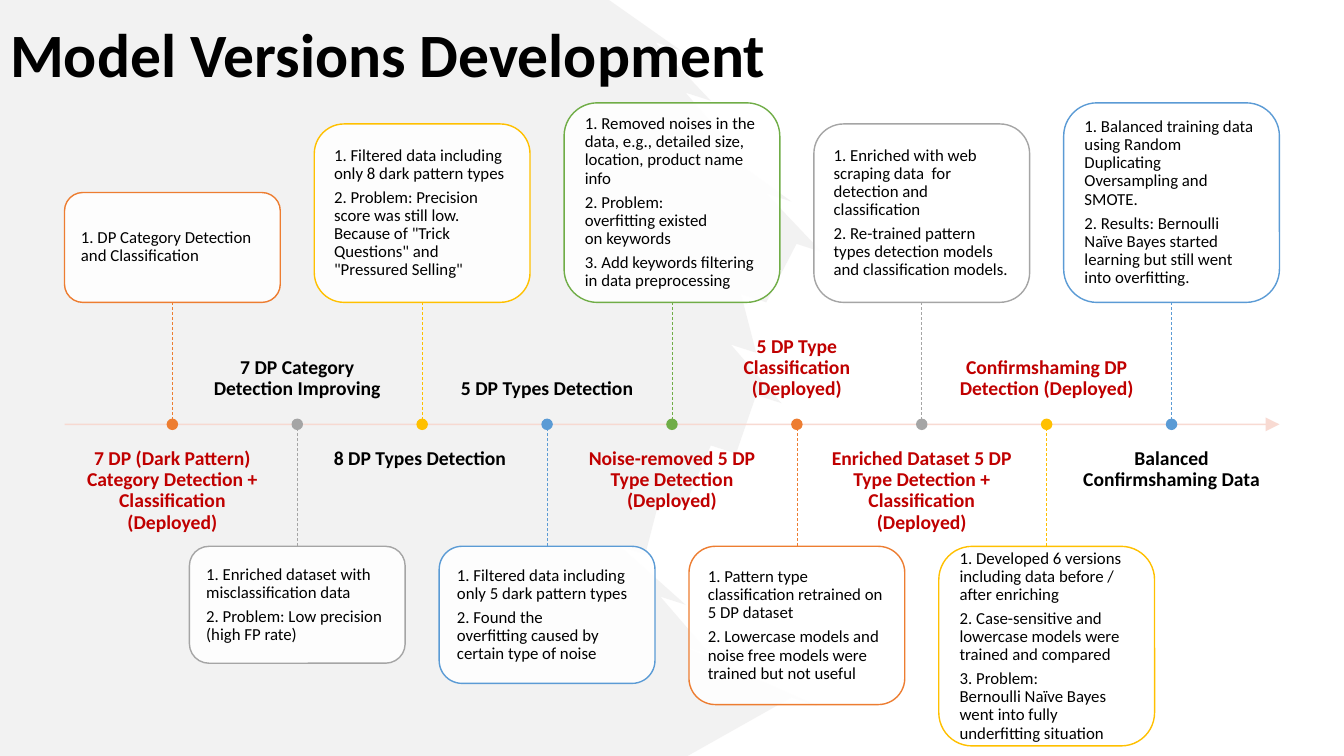
from dataclasses import dataclass

from lxml import etree
from pptx import Presentation
from pptx import util as u
from pptx.dml.color import RGBColor
from pptx.enum import dml, shapes, text
from pptx.oxml import ns


@dataclass(frozen=True)
class Theme:
    font: str = "Calibri"
    black: str = "000000"
    red: str = "C00000"
    white: str = "FFFFFF"
    brush: str = "E7E6E6"
    axis: str = "F8D7CE"
    cycle: tuple[str, ...] = ("ED7D31", "A5A5A5", "FFC000", "5B9BD5", "70AD47")
    title: int = 44
    label: int = 14
    note: int = 12


@dataclass(frozen=True)
class Stage:
    label: str
    height: float
    notes: tuple[str, ...]


THEME = Theme()

# Slide and timeline geometry in inches
WIDTH, HEIGHT = 13.33, 7.5
FIRST, LAST, AXIS = 1.71, 11.62, 4.21
CARD, GAP, DOT = 2.14, 1.21, 0.1
WIDE, TALL, CLEAR = 1.88, 0.72, 0.24

# Brush stroke: reach of each bristle, at equal steps down the slide
REACH = (6.04, 6.75, 7.05, 7.3, 7.85, 8.15, 7.6, 7.5,
         7.75, 7.3, 6.8, 6.4, 6.8, 7.05, 8.1, 6.82)
NOTCH, RISE = 0.25, 0.08

# A tilde in the wording binds two words with a no-break space
TIE, BIND = "~", chr(160)

STAGES = (
    Stage("7 DP (Dark Pattern) Category Detection + Classification (Deployed)", 1.09,
          ("1. DP Category Detection and Classification",)),
    Stage("7 DP Category Detection Improving", 1.16,
          ("1. Enriched dataset with misclassification data",
           "2. Problem: Low precision (high FP rate)")),
    Stage("8 DP Types Detection~", 1.77,
          ("1. Filtered data including only 8 dark pattern types",
           "2. Problem: Precision score was still low. Because of "
           '"Trick Questions" and "Pressured Selling"')),
    Stage("5 DP Types Detection", 1.36,
          ("1. Filtered data including only 5 dark pattern types",
           "2. Found the overfitting~caused by certain type of~noise")),
    Stage("Noise-removed 5 DP Type Detection (Deployed)", 1.98,
          ("1. Removed noises in the data, e.g., detailed size, location, product name info",
           "2. Problem: overfitting~existed on~keywords",
           "3. Add keywords filtering in data preprocessing")),
    Stage("5 DP Type Classification (Deployed)", 1.57,
          ("1. Pattern type classification retrained on 5 DP dataset",
           "2. Lowercase~models and noise free models~were trained but not useful")),
    Stage("Enriched Dataset 5 DP Type Detection + Classification (Deployed)", 1.77,
          ("1. Enriched with web scraping data ~for detection and classification",
           "2. Re-trained pattern types detection models and classification models.")),
    Stage("Confirmshaming DP Detection (Deployed)", 1.98,
          ("1. Developed~6 versions including data before / after enriching",
           "2. Case-sensitive and lowercase models were trained and compared",
           "3. Problem: Bernoulli~Naïve Bayes went into fully underfitting situation")),
    Stage("Balanced Confirmshaming Data", 1.98,
          ("1. Balanced training data using Random Duplicating Oversampling and SMOTE.",
           "2. Results: Bernoulli Naïve Bayes~started learning but still went into overfitting.")),
)


# Formatting helpers
def style(item: object, **values: object) -> None:
    for name, value in values.items():
        setattr(item, name, value)


def fade(node: object, share: int) -> None:
    """Set the opacity, in percent, of the first colour under an element."""
    color = node.find(".//" + ns.qn("a:srgbClr"))
    etree.SubElement(color, ns.qn("a:alpha")).set("val", str(share * 1000))


def paint(shape: object, fill: str, edge: str | None = None, share: int = 100) -> None:
    shape.shadow.inherit = False
    shape.fill.solid()
    shape.fill.fore_color.rgb = RGBColor.from_string(fill)
    if share < 100:
        fade(shape._element.spPr, share)
    if edge:
        shape.line.color.rgb = RGBColor.from_string(edge)
        shape.line.width = u.Pt(1)
    else:
        shape.line.fill.background()


def write(shape: object, lines: tuple[str, ...], size: int, color: str, bold: bool,
          align: object, anchor: object, inset: float, after: float = 0.35) -> None:
    frame = shape.text_frame
    pad = u.Inches(inset)
    style(frame, word_wrap=True, auto_size=text.MSO_AUTO_SIZE.NONE, vertical_anchor=anchor,
          margin_left=pad, margin_right=pad, margin_top=pad, margin_bottom=pad)
    frame.text = "\n".join(lines).replace(TIE, BIND)
    for para in frame.paragraphs:
        style(para, alignment=align, line_spacing=0.9, space_before=u.Pt(0),
              space_after=u.Pt(size * after))
        style(para.font, name=THEME.font, size=u.Pt(size), bold=bold)
        para.font.color.rgb = RGBColor.from_string(color)


def rule(slide: object, start: tuple[float, float], end: tuple[float, float],
         color: str, width: float) -> object:
    line = slide.shapes.add_connector(shapes.MSO_CONNECTOR.STRAIGHT,
                                      *map(u.Inches, start + end))
    line.line.color.rgb = RGBColor.from_string(color)
    line.line.width = u.Pt(width)
    etree.SubElement(line._element.spPr, ns.qn("a:effectLst"))
    return line


# Parts of the slide
def draw_brush(slide: object) -> None:
    step = HEIGHT / (len(REACH) - 1)
    edge = [(REACH[0], 0)]
    for rank, tip in enumerate(REACH[1:-1], start=1):
        edge += [(tip, rank * step), (tip - NOTCH, rank * step - RISE)]
    edge += [(REACH[-1], HEIGHT), (0, HEIGHT)]
    form = slide.shapes.build_freeform(0, 0)
    form.add_line_segments([(u.Inches(x), u.Inches(y)) for x, y in edge], close=True)
    paint(form.convert_to_shape(), THEME.brush, share=50)


def draw_axis(slide: object) -> None:
    line = rule(slide, (FIRST - CARD / 2, AXIS), (LAST + CARD / 2, AXIS), THEME.axis, 1)
    edge = line._element.spPr.find(ns.qn("a:ln"))
    fade(edge, 90)
    head = etree.SubElement(edge, ns.qn("a:tailEnd"))
    for name, value in {"type": "triangle", "w": "lg", "len": "lg"}.items():
        head.set(name, value)


def draw_stage(slide: object, rank: int, stage: Stage) -> None:
    mid = FIRST + rank * (LAST - FIRST) / (len(STAGES) - 1)
    color = THEME.cycle[rank % len(THEME.cycle)]
    above = rank % 2 == 0
    near = AXIS - GAP if above else AXIS + GAP

    # Card with notes
    top = near - stage.height if above else near
    card = slide.shapes.add_shape(
        shapes.MSO_SHAPE.ROUNDED_RECTANGLE,
        *map(u.Inches, (mid - CARD / 2, top, CARD, stage.height)))
    paint(card, THEME.white, color, 90)
    write(card, stage.notes, THEME.note, THEME.black, False,
          text.PP_ALIGN.LEFT, text.MSO_ANCHOR.MIDDLE, 0.11)

    # Stem and dot
    stem = rule(slide, (mid, near), (mid, AXIS), color, 0.5)
    stem.line.dash_style = dml.MSO_LINE.DASH
    dot = slide.shapes.add_shape(
        shapes.MSO_SHAPE.OVAL,
        *map(u.Inches, (mid - DOT / 2, AXIS - DOT / 2, DOT, DOT)))
    paint(dot, color, color)

    # Label on the other side of the axis
    top = AXIS + CLEAR if above else AXIS - CLEAR - TALL
    label = slide.shapes.add_textbox(*map(u.Inches, (mid - WIDE / 2, top, WIDE, TALL)))
    ink = THEME.red if stage.label.endswith("(Deployed)") else THEME.black
    write(label, (stage.label,), THEME.label, ink, True, text.PP_ALIGN.CENTER,
          text.MSO_ANCHOR.TOP if above else text.MSO_ANCHOR.BOTTOM, 0)


def draw_title(slide: object) -> None:
    title = slide.shapes.title
    style(title, left=u.Inches(0), top=u.Inches(-0.05),
          width=u.Inches(11.5), height=u.Inches(1.24))
    write(title, ("Model Versions Development",), THEME.title, THEME.black, True,
          text.PP_ALIGN.LEFT, text.MSO_ANCHOR.MIDDLE, 0.1, 0)
    slide.shapes._spTree.append(title._element)  # in front of the brush stroke


def main() -> None:
    deck = Presentation()
    style(deck, slide_width=u.Inches(WIDTH), slide_height=u.Inches(HEIGHT))
    slide = deck.slides.add_slide(deck.slide_layouts[5])
    draw_brush(slide)
    draw_axis(slide)
    for rank, stage in enumerate(STAGES):
        draw_stage(slide, rank, stage)
    draw_title(slide)
    deck.save("out.pptx")


if __name__ == "__main__":
    main()
